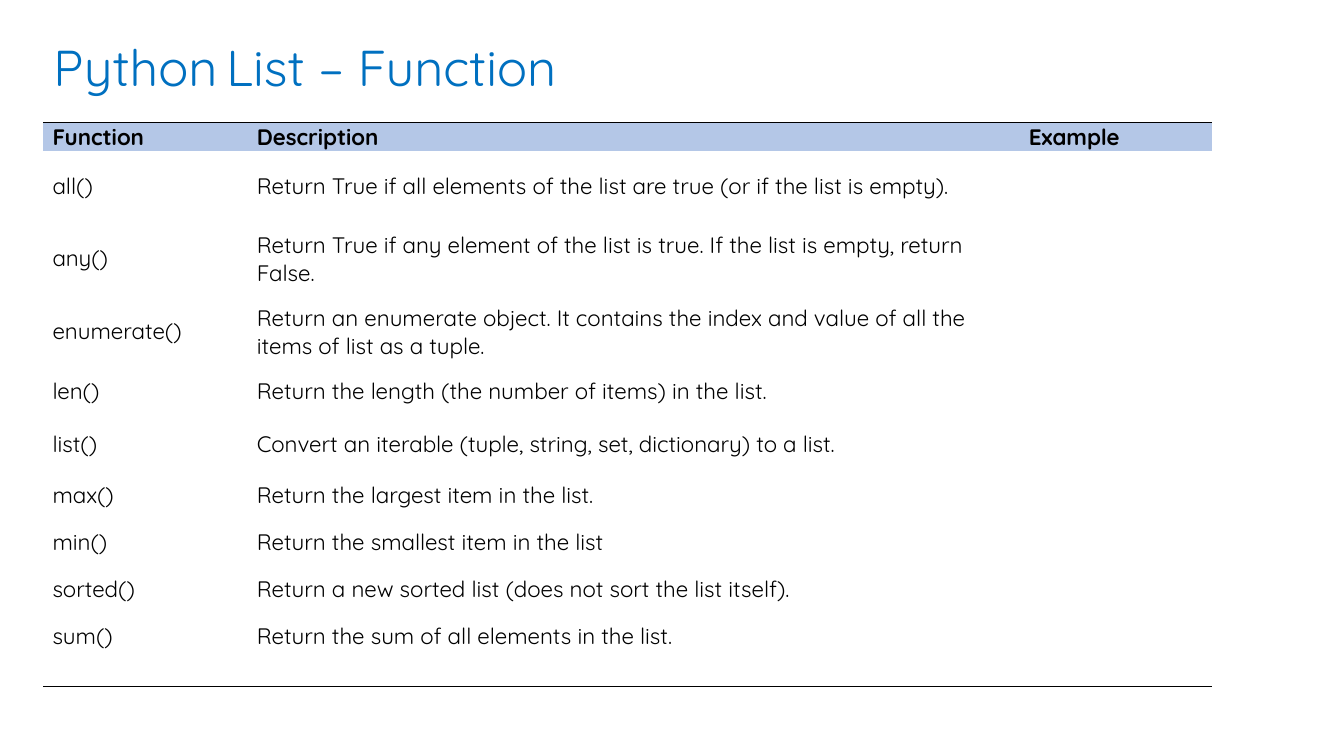
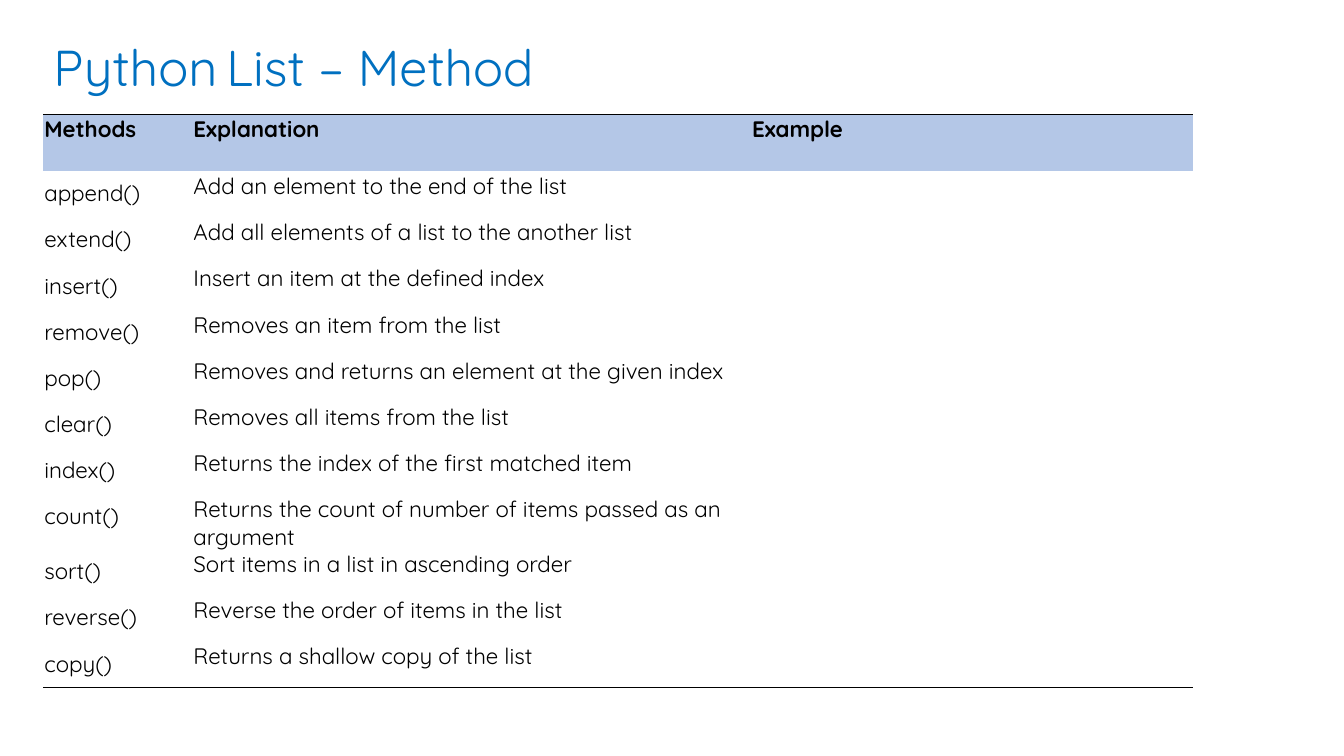
from lxml import etree
from pptx import Presentation
from pptx.dml.color import RGBColor
from pptx.enum.text import MSO_ANCHOR, MSO_AUTO_SIZE, PP_ALIGN
from pptx.oxml.ns import qn
from pptx.util import Pt

TITLE_BLUE = RGBColor(0x00, 0x70, 0xC0)
HEADER_BLUE = RGBColor(0xB4, 0xC7, 0xE7)
BLACK = RGBColor(0x00, 0x00, 0x00)
TOP, MIDDLE = MSO_ANCHOR.TOP, MSO_ANCHOR.MIDDLE
LEFT = PP_ALIGN.LEFT
GROW = MSO_AUTO_SIZE.SHAPE_TO_FIT_TEXT
FONT, SPACE_FONT = "Quicksand", "Calibri"
TITLE_ONLY_LAYOUT = 5
PLAIN_TABLE_STYLE = "{2D5ABB26-0587-4C30-8999-92F81FD0307C}"

# Cell margins in points: left, top, right, bottom
TIGHT = (0.7, 0.7, 0.7, 0)
PADDED = (0.7, 5.8, 0.7, 5)
INDENTED = (6.5, 0.7, 0.7, 0)
INDENTED_PADDED = (6.5, 7.2, 0.7, 6.5)

FUNCTIONS = [
    ("Function", "Description", "Example"),
    ("all()", "Return True if all elements of the list are true (or if the list is empty).", ""),
    ("any()", "Return True if any element of the list is true. If the list is empty, return False.", ""),
    ("enumerate()", "Return an enumerate object. It contains the index and value of all the "
                    "items of list as a tuple.", ""),
    ("len()", "Return the length (the number of items) in the list.", ""),
    ("list()", "Convert an iterable (tuple, string, set, dictionary) to a list.", ""),
    ("max()", "Return the largest item in the list.", ""),
    ("min()", "Return the smallest item in the list", ""),
    ("sorted()", "Return a new sorted list (does not sort the list itself).", ""),
    ("sum()", "Return the sum of all elements in the list.", ""),
    ("", "", ""),
]
METHODS = [
    ("Methods", "Explanation", "Example"),
    ("append()", "Add an element to the end of the list", ""),
    ("extend()", "Add all elements of a list to the another list", ""),
    ("insert()", "Insert an item at the defined index", ""),
    ("remove()", "Removes an item from the list", ""),
    ("pop()", "Removes and returns an element at the given index", ""),
    ("clear()", "Removes all items from the list", ""),
    ("index()", "Returns the index of the first matched item", ""),
    ("count()", "Returns the count of number of items passed as an argument", ""),
    ("sort()", "Sort items in a list in ascending order", ""),
    ("reverse()", "Reverse the order of items in the list", ""),
    ("copy()", "Returns a shallow copy of the list", ""),
]


def write_text(paragraph, text, size=16, font=FONT, color=BLACK, bold=False):
    """Add a run, or give an empty paragraph the size and font that set its height."""
    if not text:
        end = etree.SubElement(paragraph._p, qn("a:endParaRPr"), sz=str(size * 100))
        etree.SubElement(end, qn("a:latin"), typeface=font)
        return
    run = paragraph.add_run()
    run.text = text
    run.font.size = Pt(size)
    run.font.name = font
    run.font.bold = bold
    run.font.color.rgb = color


def add_border(cell, side):
    """Rule one side of a cell: "a:lnT" is the top, "a:lnB" the bottom."""
    line = etree.SubElement(cell._tc.get_or_add_tcPr(), qn(side), w=str(Pt(1)))
    fill = etree.SubElement(line, qn("a:solidFill"))
    etree.SubElement(fill, qn("a:srgbClr"), val=str(BLACK))


class Deck:
    """Holds the shared style and the current slide; lengths are in points."""

    left = 31

    def __init__(self):
        self.presentation = Presentation()
        self.presentation.slide_width = Pt(960)
        self.presentation.slide_height = Pt(540)
        self.slide = None

    def add_slide(self, topic):
        layout = self.presentation.slide_layouts[TITLE_ONLY_LAYOUT]
        self.slide = self.presentation.slides.add_slide(layout)
        self.add_title(topic)

    def add_title(self, topic):
        title = self.slide.shapes.title
        title.left, title.top = Pt(self.left), Pt(22.3)
        title.width, title.height = Pt(685), Pt(51)
        frame = title.text_frame
        frame.word_wrap = True
        frame.auto_size = GROW
        frame.vertical_anchor = TOP
        paragraph = frame.paragraphs[0]
        paragraph.alignment = LEFT
        write_text(paragraph, "Python", size=36, color=TITLE_BLUE)
        write_text(paragraph, " ", size=28, font=SPACE_FONT)
        write_text(paragraph, f"List – {topic}", size=36, color=TITLE_BLUE)

    def add_table(self, rows, top, widths, heights, flat, column_margins, anchor):
        """Header and empty cells take the flat margins, other cells their column's."""
        frame = self.slide.shapes.add_table(
            len(rows), len(widths), Pt(self.left), Pt(top), Pt(sum(widths)), Pt(sum(heights)))
        for style in frame.element.iter(qn("a:tableStyleId")):
            style.text = PLAIN_TABLE_STYLE
        table = frame.table
        table.first_row = table.horz_banding = False
        for column, width in zip(table.columns, widths):
            column.width = Pt(width)
        for row, height in zip(table.rows, heights):
            row.height = Pt(height)
        for row_index, texts in enumerate(rows):
            header = row_index == 0
            for column_index, text in enumerate(texts):
                cell = table.cell(row_index, column_index)
                margins = flat if header or not text else column_margins[column_index]
                self.fill_cell(cell, text, margins, anchor, header)
                if row_index == len(rows) - 1:
                    add_border(cell, "a:lnB")

    def fill_cell(self, cell, text, margins, anchor, header):
        left, top, right, bottom = margins
        cell.margin_left, cell.margin_top = Pt(left), Pt(top)
        cell.margin_right, cell.margin_bottom = Pt(right), Pt(bottom)
        cell.vertical_anchor = anchor
        write_text(cell.text_frame.paragraphs[0], text, bold=header)
        if header:
            add_border(cell, "a:lnT")
            cell.fill.solid()
            cell.fill.fore_color.rgb = HEADER_BLUE


def main():
    deck = Deck()
    deck.add_slide("Function")
    deck.add_table(FUNCTIONS, top=87.5, widths=[146, 551.5, 137.5],
                   heights=[20.2] + [50.4] * 3 + [34, 40.5] + [33.5] * 4 + [17.3],
                   flat=INDENTED, column_margins=[INDENTED_PADDED] * 3, anchor=MIDDLE)
    deck.add_slide("Method")
    deck.add_table(METHODS, top=81.8, widths=[106.5, 399, 316],
                   heights=[40.5] + [33] * 11,
                   flat=TIGHT, column_margins=[PADDED, TIGHT, TIGHT], anchor=TOP)
    deck.presentation.save("out.pptx")


if __name__ == "__main__":
    main()
